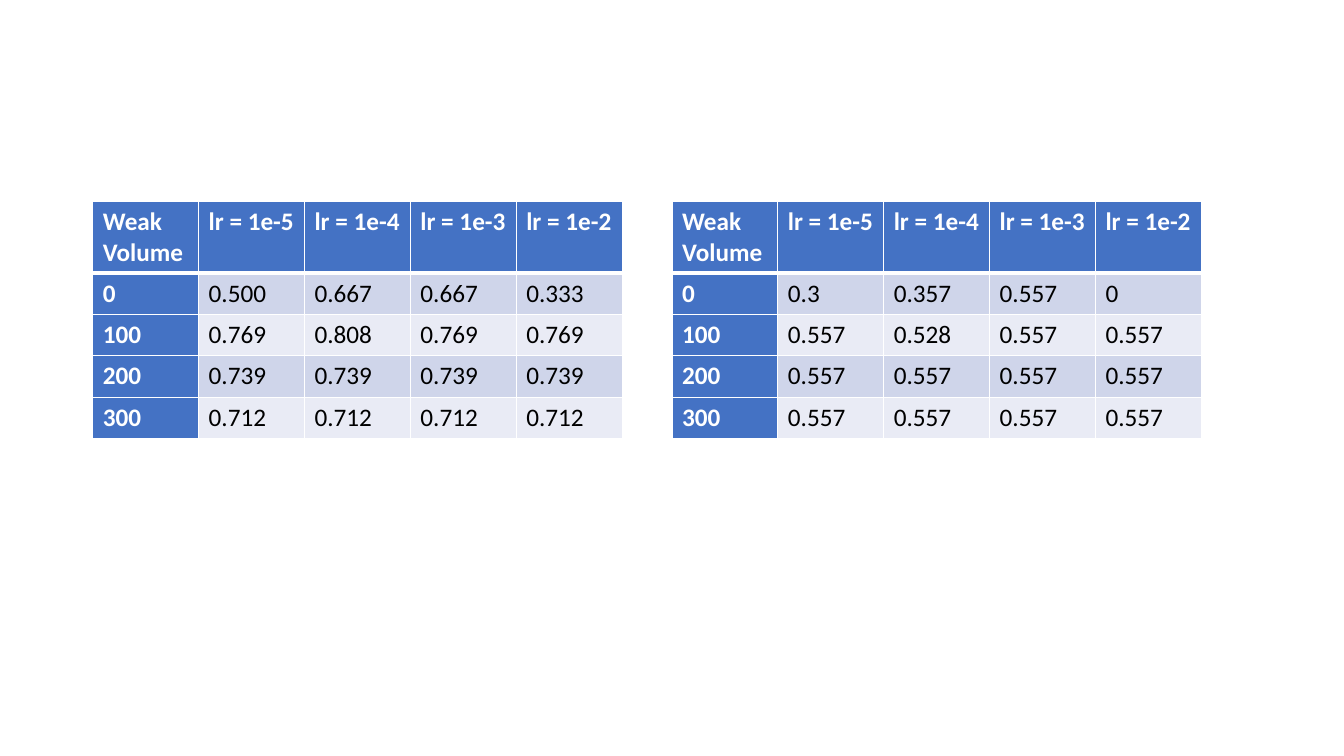
from lxml.etree import SubElement
from pptx import Presentation
from pptx.dml.color import RGBColor
from pptx.oxml.ns import qn
from pptx.util import Inches, Pt

# Content
HEADER = ["Weak Volume", "lr = 1e-5", "lr = 1e-4", "lr = 1e-3", "lr = 1e-2"]
LEFT_SCORES = [
    ["0", "0.500", "0.667", "0.667", "0.333"],
    ["100", "0.769", "0.808", "0.769", "0.769"],
    ["200", "0.739", "0.739", "0.739", "0.739"],
    ["300", "0.712", "0.712", "0.712", "0.712"],
]
RIGHT_SCORES = [
    ["0", "0.3", "0.357", "0.557", "0"],
    ["100", "0.557", "0.528", "0.557", "0.557"],
    ["200", "0.557", "0.557", "0.557", "0.557"],
    ["300", "0.557", "0.557", "0.557", "0.557"],
]

# Grid and colours
SLIDE_W, SLIDE_H = 13.33, 7.5
TABLES = [(0.92, LEFT_SCORES), (SLIDE_W / 2, RIGHT_SCORES)]
TOP, COL_W, HEAD_H, ROW_H = 2, 1.05, 0.7, 0.41
BLUE, WHITE, BLACK = "4472C4", "FFFFFF", "000000"
BANDS = ["CFD5EA", "E9EBF5"]


def rgb(value):
    return RGBColor.from_string(value)


def add_borders(cell, row):
    """White rules, thicker between the header and the body."""
    widths = {"L": 1, "R": 1, "T": 3 if row == 1 else 1, "B": 3 if row == 0 else 1}
    tc_pr = cell._tc.get_or_add_tcPr()
    for side, width in widths.items():
        line = SubElement(tc_pr, qn(f"a:ln{side}"), w=str(Pt(width)))
        fill = SubElement(line, qn("a:solidFill"))
        SubElement(fill, qn("a:srgbClr"), val=WHITE)


def fill_cell(cell, text, row, col):
    is_label = row == 0 or col == 0
    add_borders(cell, row)
    cell.fill.solid()
    cell.fill.fore_color.rgb = rgb(BLUE if is_label else BANDS[(row - 1) % 2])
    r = cell.text_frame.paragraphs[0].add_run()
    r.text = text
    r.font.name, r.font.size, r.font.bold = "Calibri", Pt(18), is_label
    r.font.color.rgb = rgb(WHITE if is_label else BLACK)


def add_score_table(s, left, scores):
    rows = [HEADER] + scores
    heights = [HEAD_H] + [ROW_H] * len(scores)
    table = s.shapes.add_table(
        len(rows), len(HEADER), Inches(left), Inches(TOP),
        Inches(COL_W * len(HEADER)), Inches(sum(heights))).table
    for column in table.columns:
        column.width = Inches(COL_W)
    for i, (values, height) in enumerate(zip(rows, heights)):
        table.rows[i].height = Inches(height)
        for j, text in enumerate(values):
            fill_cell(table.cell(i, j), text, i, j)


def main():
    prs = Presentation()
    prs.slide_width, prs.slide_height = Inches(SLIDE_W), Inches(SLIDE_H)
    s = prs.slides.add_slide(prs.slide_layouts[6])
    for left, scores in TABLES:
        add_score_table(s, left, scores)
    prs.save("out.pptx")


if __name__ == "__main__":
    main()
